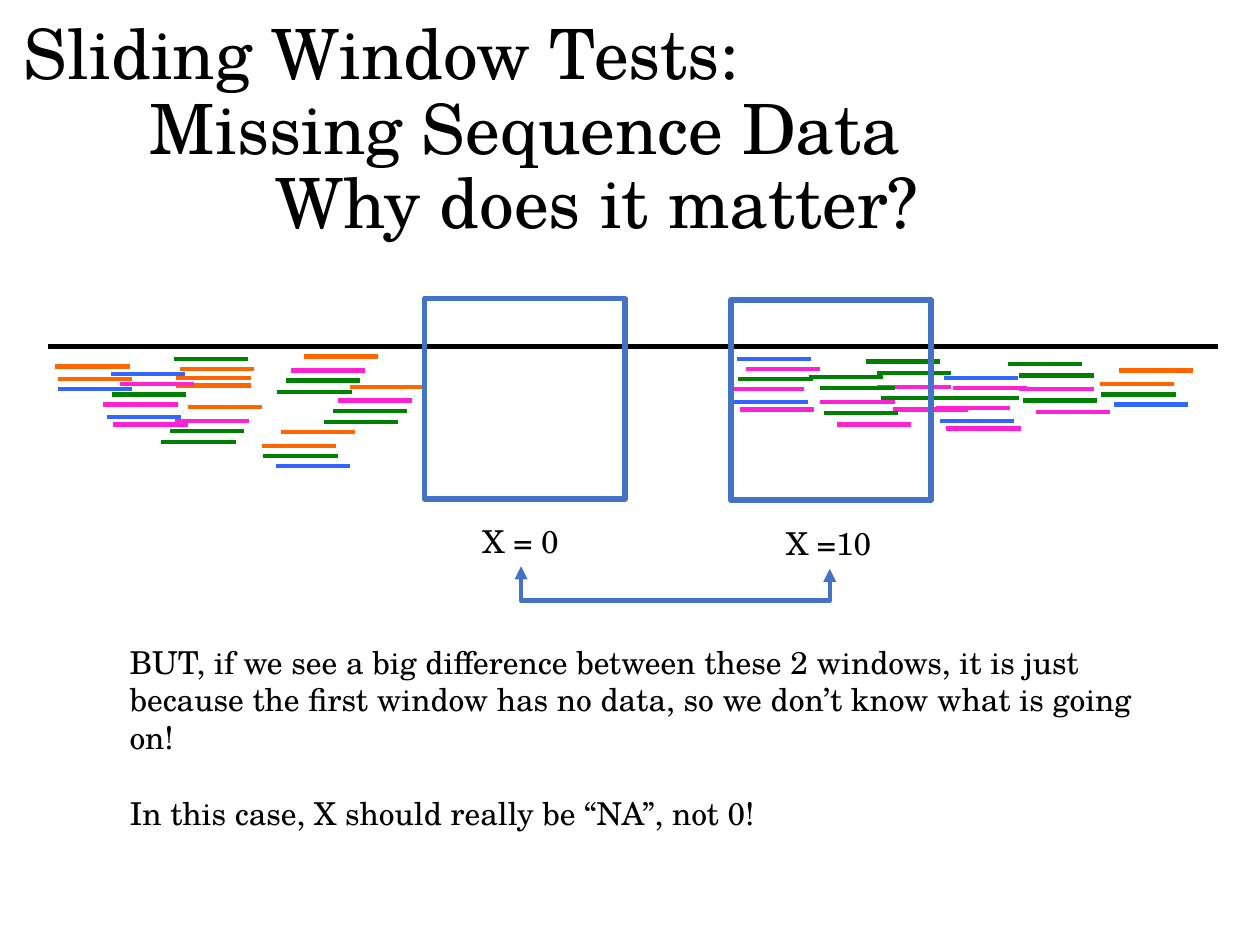
from dataclasses import dataclass

from lxml.etree import SubElement
from pptx import Presentation
from pptx.dml.color import RGBColor
from pptx.enum.shapes import MSO_CONNECTOR as Connector, MSO_SHAPE as Shape
from pptx.enum.text import MSO_ANCHOR as Anchor, MSO_AUTO_SIZE as AutoSize, PP_ALIGN as Align
from pptx.oxml.ns import qn
from pptx.util import Inches, Pt

COLUMNS, ROWS = 100, 75


@dataclass(frozen=True)
class Theme:
    font: str = "TeX Gyre Schola"
    title_size: float = 39.6
    body_size: float = 18
    paragraph_gap: float = 21.5
    ink: str = "000000"
    frame: str = "4472C4"
    orange: str = "FF6600"
    blue: str = "3366FF"
    green: str = "008000"
    pink: str = "FF22D2"
    axis_width: float = 3
    read_width: float = 2.5
    frame_width: float = 3.25


THEME = Theme()
READ_LENGTH = 5.9

STACKS = {
    "edge": [("orange", 0.2, 1), ("orange", 0, 0), ("blue", 0.2, 1.8)],
    "stairs": [("green", 0.7, 1.9), ("green", 0, 2.8), ("pink", 1.1, 1.1), ("orange", 2.1, 0)],
    "pile": [("green", 0, 0), ("orange", 0.2, 1.5), ("orange", 0.5, 0.8), ("orange", 0.2, 2.1)],
    "fan": [("blue", 1.1, 2.7), ("green", 0.1, 1.9), ("orange", 0, 1.1), ("orange", 1.5, 0)],
    "mixed": [("blue", 0.3, 3.4), ("pink", 0, 2.4), ("green", 0.7, 1.6),
              ("pink", 1.3, 0.8), ("pink", 0.8, 4), ("blue", 0.6, 0)],
    "slope": [("pink", 2.2, 3.8), ("green", 1.2, 2.9), ("pink", 0.9, 2),
              ("green", 0.9, 0.9), ("green", 0, 0)],
}

READS = [
    ("edge", 4.4, 29.1), ("stairs", 25.7, 30.7), ("pile", 13.8, 28.5),
    ("fan", 20.8, 34.3), ("mixed", 74.3, 30), ("slope", 68.7, 28.7),
    ("mixed", 8.2, 29.7), ("stairs", 12.8, 32.3), ("stairs", 22, 28.3),
    ("slope", 64.2, 29.9), ("slope", 80, 28.9), ("mixed", 57.9, 28.5),
    ("fan", 87.3, 29.4),
]


class Page:
    def __init__(self, deck, theme):
        self.theme = theme
        self.slide = deck.slides.add_slide(deck.slide_layouts[5])
        self.column = deck.slide_width / COLUMNS
        self.row = deck.slide_height / ROWS

    def place(self, left, top, width, height):
        return (round(left * self.column), round(top * self.row),
                round(width * self.column), round(height * self.row))

    def fill_text(self, frame, lines, size):
        frame.text = "\n".join(lines)
        for para in frame.paragraphs:
            for span in para.runs:
                span.font.name = self.theme.font
                span.font.size = Pt(size)
                span.font.color.rgb = RGBColor.from_string(self.theme.ink)

    def title(self, lines, area, step, bottom_inset):
        box = self.slide.shapes.title
        box.left, box.top, box.width, box.height = self.place(*area)
        frame = box.text_frame
        self.fill_text(frame, lines, self.theme.title_size)
        frame.auto_size = AutoSize.NONE
        frame.vertical_anchor = Anchor.MIDDLE
        frame.margin_bottom = round(bottom_inset * self.row)
        for level, para in enumerate(frame.paragraphs):
            para.alignment = Align.LEFT
            para.line_spacing = 0.9
            properties = para._p.get_or_add_pPr()
            properties.set("marL", str(round(level * step * self.column)))
            properties.set("indent", "0")

    def text(self, lines, area, wrap=True):
        frame = self.slide.shapes.add_textbox(*self.place(*area)).text_frame
        self.fill_text(frame, lines, self.theme.body_size)
        frame.word_wrap = wrap
        frame.auto_size = AutoSize.SHAPE_TO_FIT_TEXT
        for para in frame.paragraphs[1:]:
            para.space_before = Pt(self.theme.paragraph_gap)

    def line(self, start, end, color, width, kind=Connector.STRAIGHT, owner=None):
        shapes = (owner or self.slide).shapes
        ends = self.place(*start, *end)
        connector = shapes.add_connector(kind, *ends)
        connector.line.color.rgb = RGBColor.from_string(color)
        connector.line.width = Pt(width)
        SubElement(connector._element.spPr, qn("a:effectLst"))
        return connector

    def reads(self, stack, left, top):
        group = self.slide.shapes.add_group_shape()
        for color, across, down in STACKS[stack]:
            x, y = left + across, top + down
            self.line((x, y), (x + READ_LENGTH, y), getattr(self.theme, color),
                      self.theme.read_width, owner=group)

    def window(self, left, top, side):
        box = self.slide.shapes.add_shape(Shape.RECTANGLE, *self.place(left, top, side, side))
        box.shadow.inherit = False
        box.fill.background()
        box.line.color.rgb = RGBColor.from_string(self.theme.frame)
        box.line.width = Pt(self.theme.frame_width)

    def bracket(self, start, end, bend):
        connector = self.line(start, end, self.theme.frame, self.theme.read_width, Connector.ELBOW)
        properties = connector._element.spPr
        properties.find(qn("a:xfrm")).set("rot", str(270 * 60000))
        guides = properties.find(qn("a:prstGeom")).find(qn("a:avLst"))
        SubElement(guides, qn("a:gd"), name="adj1", fmla=f"val {round(bend * 100000)}")
        outline = properties.find(qn("a:ln"))
        for tip in ("a:headEnd", "a:tailEnd"):
            SubElement(outline, qn(tip), type="triangle")


def main():
    deck = Presentation()
    deck.slide_width, deck.slide_height = Inches(10), Inches(7.5)
    page = Page(deck, THEME)

    page.title(["Sliding Window Tests:", "Missing Sequence Data", "Why does it matter?"],
               (0.9, 6.2, 86.2, 14.5), step=10, bottom_inset=6.5)
    page.line((3.8, 27.5), (96.7, 27.5), THEME.ink, THEME.axis_width)
    for stack, left, top in READS:
        page.reads(stack, left, top)

    page.window(33.7, 23.7, 15.9)
    page.window(58, 23.8, 15.9)
    page.text(["X = 0"], (37.3, 40.9, 8.1, 4), wrap=False)
    page.text(["X =10"], (61.4, 41.1, 8.8, 4), wrap=False)
    page.text(["BUT, if we see a big difference between these 2 windows, it is just because "
               "the first window has no data, so we don’t know what is going on!",
               "In this case, X should really be “NA”, not 0!"],
              (9.3, 50.5, 85, 16.2))
    page.bracket((53.7, 32.8), (53.5, 57.3), bend=13.5)

    deck.save("out.pptx")


if __name__ == "__main__":
    main()
